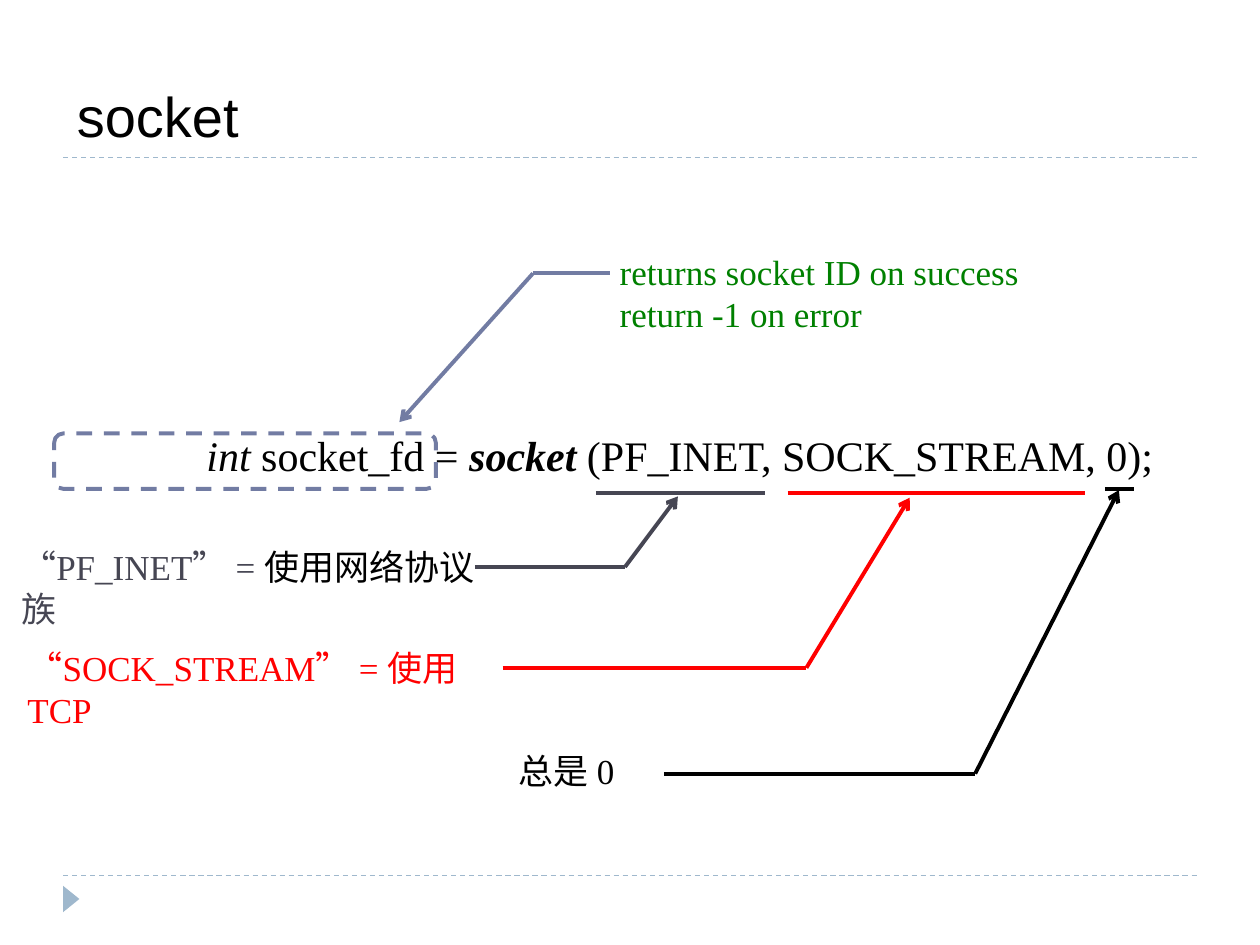
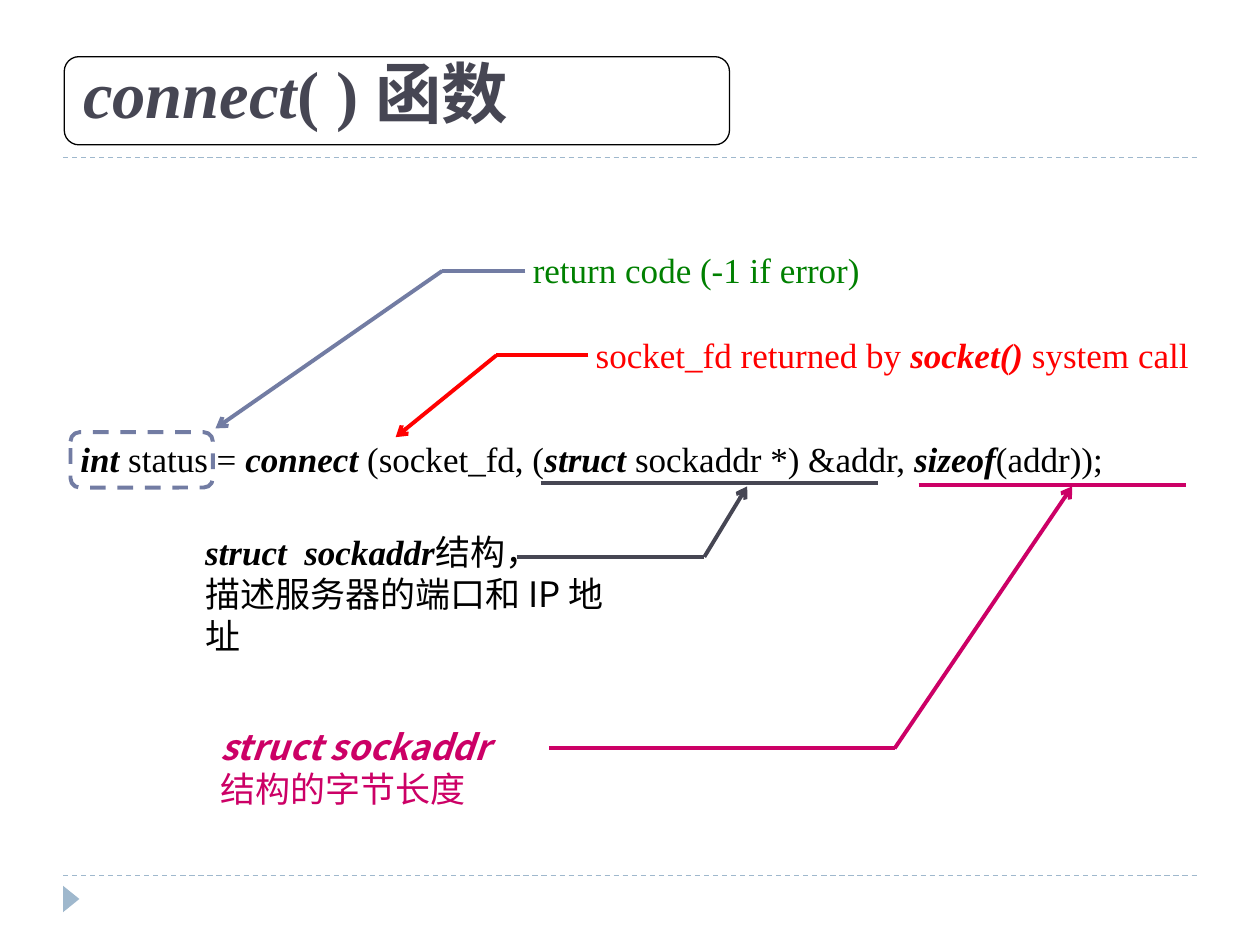
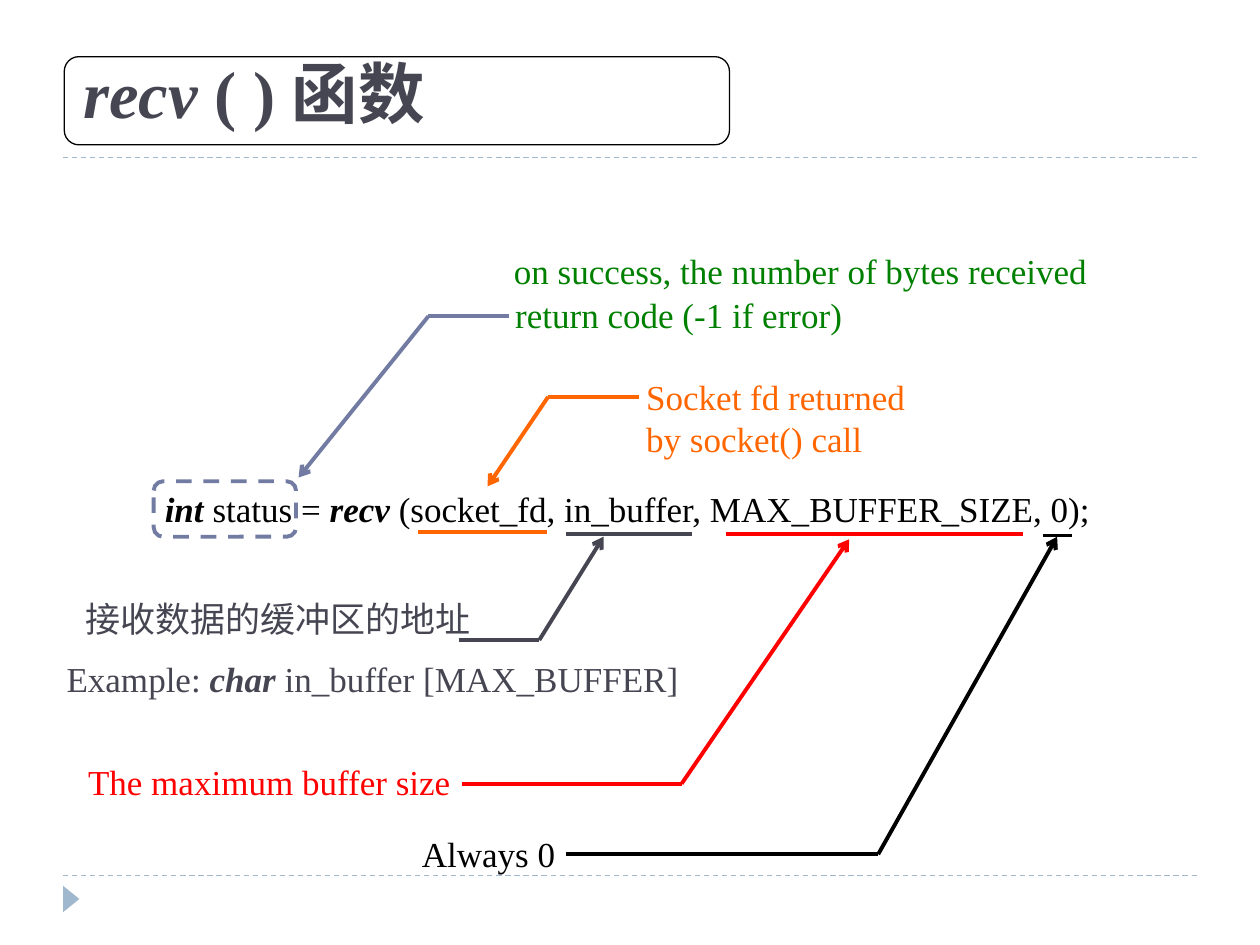
from dataclasses import dataclass

from lxml import etree
from pptx import Presentation
from pptx.dml.color import RGBColor
from pptx.enum.dml import MSO_LINE
from pptx.enum.shapes import MSO_CONNECTOR, MSO_SHAPE
from pptx.enum.text import MSO_ANCHOR, MSO_AUTO_SIZE, PP_ALIGN
from pptx.oxml.ns import qn
from pptx.util import Inches, Pt

STRAIGHT = MSO_CONNECTOR.STRAIGHT
ROUNDED = MSO_SHAPE.ROUNDED_RECTANGLE
TRIANGLE = MSO_SHAPE.ISOSCELES_TRIANGLE
DASH = MSO_LINE.DASH
TOP = MSO_ANCHOR.TOP
LEFT = PP_ALIGN.LEFT
FIXED = MSO_AUTO_SIZE.NONE

WHITE = RGBColor(0xFF, 0xFF, 0xFF)
BLACK = RGBColor(0x00, 0x00, 0x00)
SLATE = RGBColor(0x46, 0x46, 0x53)
PALE_BLUE = RGBColor(0x9F, 0xB8, 0xCD)
BLUE = RGBColor(0x72, 0x7C, 0xA3)
GREEN = RGBColor(0x00, 0x80, 0x00)
RED = RGBColor(0xFF, 0x00, 0x00)
ORANGE = RGBColor(0xFF, 0x66, 0x00)
MAGENTA = RGBColor(0xCC, 0x00, 0x66)

SERIF = "Times New Roman"
SANS = "Arial"
CHINESE = "Noto Sans CJK SC"
STRONG = {"bold": True, "italic": True}
LINE_HEIGHT = 1.2
RULE_WIDTH = 0.75
STROKE_WIDTH = 2.25
SLIDE_WIDTH = Inches(10)
SLIDE_HEIGHT = Inches(7.5)
TITLE_ONLY = 5


@dataclass
class Grid:
    """A region divided into equal columns and rows."""
    left: int
    top: int
    width: int
    height: int
    columns: float
    rows: float

    def point(self, column, row):
        """Return the slide position of a grid point."""
        return (int(self.left + self.width * column / self.columns),
                int(self.top + self.height * row / self.rows))

    def area(self, column, row, width, height):
        """Return the slide position and size of a grid area."""
        return (*self.point(column, row),
                int(self.width * width / self.columns),
                int(self.height * height / self.rows))


@dataclass
class Label:
    """Text lines with their place and look; a line is a list of runs."""
    area: tuple
    lines: list
    color: RGBColor = BLACK
    size: float = 20
    font: str = SERIF
    wrap: bool = False


@dataclass
class Callout:
    """A label, the corners of its pointer and the underlined argument."""
    label: Label
    corners: list
    underline: tuple = ()


def format_span(span, values):
    """Set the font of a run from a dict of format values."""
    color = values.pop("color")
    for name, value in values.items():
        setattr(span.font, name, value)
    span.font.color.rgb = color
    etree.SubElement(span.font._element, qn("a:ea"), typeface=CHINESE)


def write_label(frame, label):
    """Fill a text frame with the lines of a label."""
    settings = {"word_wrap": label.wrap, "auto_size": FIXED,
                "vertical_anchor": TOP,
                "margin_left": Inches(0.1), "margin_right": Inches(0.1),
                "margin_top": Inches(0.05), "margin_bottom": Inches(0.05)}
    for name, value in settings.items():
        setattr(frame, name, value)
    for index, line in enumerate(label.lines):
        para = frame.add_paragraph() if index else frame.paragraphs[0]
        para.alignment = LEFT
        para.line_spacing = Pt(label.size * LINE_HEIGHT)
        for text, changes in line:
            span = para.add_run()
            span.text = text
            format_span(span, {"name": label.font, "size": Pt(label.size),
                               "bold": False, "italic": False,
                               "color": label.color, **changes})


def add_label(page, grid, label):
    """Add a text box for a label."""
    box = page.shapes.add_textbox(*grid.area(*label.area))
    write_label(box.text_frame, label)


def add_stroke(page, grid, start, end, color, width=STROKE_WIDTH,
               dash=None, arrow=False):
    """Draw a straight line between two grid points."""
    stroke = page.shapes.add_connector(
        STRAIGHT, *grid.point(*start), *grid.point(*end))
    stroke.line.color.rgb = color
    stroke.line.width = Pt(width)
    if dash:
        stroke.line.dash_style = dash
    properties = stroke.element.spPr
    if arrow:
        etree.SubElement(properties.find(qn("a:ln")), qn("a:tailEnd"),
                         type="arrow")
    etree.SubElement(properties, qn("a:effectLst"))


def add_frame(page, grid, area, color, width, fill=None, dash=None):
    """Draw a rounded outline and return it."""
    frame = page.shapes.add_shape(ROUNDED, *grid.area(*area))
    frame.shadow.inherit = False
    if fill is None:
        frame.fill.background()
    else:
        frame.fill.solid()
        frame.fill.fore_color.rgb = fill
    frame.line.color.rgb = color
    frame.line.width = Pt(width)
    if dash:
        frame.line.dash_style = dash
    return frame


def add_furniture(page, grid):
    """Draw the two rules and the corner marker shared by all slides."""
    for row in (1.25, 6.95):
        add_stroke(page, grid, (0.5, row), (9.5, row), PALE_BLUE,
                   RULE_WIDTH, DASH)
    marker = page.shapes.add_shape(
        TRIANGLE, *grid.area(0.46, 7.07, 0.21, 0.13))
    marker.rotation = 90
    marker.shadow.inherit = False
    marker.fill.solid()
    marker.fill.fore_color.rgb = PALE_BLUE
    marker.line.fill.background()


def add_title(page, grid, label, framed):
    """Place the title placeholder, with a frame behind it if wanted."""
    title = page.shapes.title
    title.left, title.top, title.width, title.height = grid.area(*label.area)
    write_label(title.text_frame, label)
    if framed:
        frame = add_frame(page, grid, (0.51, 0.45, 5.28, 0.7), BLACK,
                          RULE_WIDTH, WHITE)
        title.element.addprevious(frame.element)


def add_callout(page, grid, callout, color):
    """Draw a label with its pointer and the underline it points at."""
    add_label(page, grid, callout.label)
    start, knee, tip = callout.corners
    add_stroke(page, grid, start, knee, color)
    add_stroke(page, grid, knee, tip, color, arrow=True)
    if callout.underline:
        left, right, row = callout.underline
        add_stroke(page, grid, (left, row), (right, row), color)


def add_call_slide(deck, title, framed, signature, result_area, result,
                   callouts, remarks=()):
    """Build a slide that explains one function call."""
    page = deck.slides.add_slide(deck.slide_layouts[TITLE_ONLY])
    grid = Grid(0, 0, SLIDE_WIDTH, SLIDE_HEIGHT, 10, 7.5)
    add_furniture(page, grid)
    add_title(page, grid, title, framed)
    for label in (signature, *remarks):
        add_label(page, grid, label)
    add_frame(page, grid, result_area, BLUE, STROKE_WIDTH, dash=DASH)
    add_callout(page, grid, result, BLUE)
    for callout in callouts:
        color = callout.label.color
        add_callout(page, grid, callout,
                    SLATE if callout.underline and color == BLACK
                    and callout.label.wrap else color)


def plain(*texts):
    """Return one line of plain text for each string."""
    return [[(text, {})] for text in texts]


def function_title(*runs):
    """Return the large title label of a function slide."""
    return Label((0.56, 0.36, 5.31, 0.74), [list(runs)], SLATE, 38, wrap=True)


def add_socket_slide(deck):
    """Explain the socket call."""
    add_call_slide(
        deck,
        Label((0.51, 0.6, 3.07, 0.64), plain("socket"), BLACK, 32, SANS, True),
        False,
        Label((1.54, 3.36, 7.74, 0.5), [[
            ("int ", {"italic": True}), ("socket_fd = ", {}),
            ("socket", STRONG), (" (PF_INET, SOCK_STREAM, 0);", {})]],
            size=24),
        (0.43, 3.44, 3.03, 0.44),
        Callout(Label((4.82, 1.94, 3.37, 0.77),
                      plain("returns socket ID on success",
                            "return -1 on error"), GREEN),
                [(4.84, 2.17), (4.23, 2.17), (3.17, 3.35)]),
        [Callout(Label((0.07, 4.28, 4.03, 0.77), [[
            ("“PF_INET” = ", {}), ("使用网络协议", {"color": BLACK}),
            ("族", {})]], SLATE, wrap=True),
            [(3.77, 4.5), (4.96, 4.5), (5.38, 3.94)], (4.73, 6.07, 3.91)),
         Callout(Label((0.12, 5.08, 3.9, 0.77),
                       plain("“SOCK_STREAM” = 使用 TCP"), RED, wrap=True),
                 [(3.99, 5.3), (6.4, 5.3), (7.22, 3.95)], (6.25, 8.61, 3.91)),
         Callout(Label((4.02, 5.9, 1.03, 0.44), plain("总是 0")),
                 [(5.27, 6.14), (7.74, 6.14), (8.88, 3.89)],
                 (8.77, 9, 3.88))])


def add_connect_slide(deck):
    """Explain the connect call."""
    add_call_slide(
        deck,
        function_title(("connect", STRONG), ("( ) 函数", {"bold": True})),
        True,
        Label((0.54, 3.42, 8.32, 0.44), [[
            ("int", STRONG), (" status = ", {}), ("connect", STRONG),
            (" (socket_fd, (", {}), ("struct", STRONG),
            (" sockaddr *) &addr, ", {}), ("sizeof", STRONG),
            ("(addr));", {})]]),
        (0.56, 3.43, 1.13, 0.44),
        Callout(Label((4.13, 1.92, 2.79, 0.44),
                      plain("return code (-1 if error)"), GREEN),
                [(4.17, 2.15), (3.51, 2.15), (1.71, 3.4)]),
        [Callout(Label((1.53, 4.16, 3.37, 1.1), [
            [("struct  sockaddr", STRONG), ("结构，", {})],
            [("描述服务器的端口和 IP 地址", {"name": CHINESE})]], wrap=True),
            [(4.1, 4.42), (5.59, 4.42), (5.93, 3.86)], (4.29, 6.97, 3.83)),
         Callout(Label((1.65, 5.71, 2.48, 0.77), [[
             ("struct sockaddr ", STRONG), ("结构的字节长度", {})]],
             MAGENTA, font=CHINESE, wrap=True),
             [(4.36, 5.94), (7.1, 5.94), (8.51, 3.86)], (7.29, 9.41, 3.85)),
         Callout(Label((4.63, 2.6, 4.9, 0.44), [[
             ("socket_fd returned by ", {}), ("socket()", STRONG),
             (" system call", {})]], RED),
             [(4.67, 2.82), (3.94, 2.82), (3.14, 3.47)])])


def add_recv_slide(deck):
    """Explain the recv call."""
    add_call_slide(
        deck,
        function_title(("recv", STRONG), (" ( ) 函数", {"bold": True})),
        True,
        Label((1.21, 3.82, 7.56, 0.44), [[
            ("int", STRONG), (" status = ", {}), ("recv", STRONG),
            (" (socket_fd, in_buffer, MAX_BUFFER_SIZE, 0);", {})]]),
        (1.22, 3.82, 1.13, 0.44),
        Callout(Label((3.99, 2.28, 2.79, 0.44),
                      plain("return code (-1 if error)"), GREEN),
                [(4.04, 2.51), (3.4, 2.51), (2.37, 3.79)]),
        [Callout(Label((3.25, 6.56, 1.26, 0.44), plain("Always 0")),
                 [(4.49, 6.78), (6.97, 6.78), (8.39, 4.26)],
                 (8.28, 8.51, 4.25)),
         Callout(Label((0.6, 5.99, 3.08, 0.44),
                       plain("The maximum buffer size"), RED),
                 [(3.67, 6.22), (5.41, 6.22), (6.74, 4.28)],
                 (5.76, 8.12, 4.24)),
         Callout(Label((0.58, 4.69, 3.26, 0.44),
                       plain("接收数据的缓冲区的地址"), SLATE),
                 [(3.64, 5.08), (4.28, 5.08), (4.79, 4.26)],
                 (4.49, 5.49, 4.24)),
         Callout(Label((5.03, 2.93, 2.25, 0.77),
                       plain("Socket fd returned", "by socket() call"),
                       ORANGE),
                 [(5.07, 3.15), (4.35, 3.15), (3.87, 3.86)],
                 (3.32, 4.34, 4.22))],
        [Label((3.98, 1.93, 4.75, 0.44),
               plain("on success, the number of bytes received"), GREEN),
         Label((0.43, 5.17, 5.06, 0.44), [[
             ("Example: ", {}), ("char", STRONG),
             (" in_buffer [MAX_BUFFER]", {})]], SLATE)])


def main():
    """Build and save the deck."""
    deck = Presentation()
    deck.slide_width = SLIDE_WIDTH
    deck.slide_height = SLIDE_HEIGHT
    for add_slide in (add_socket_slide, add_connect_slide, add_recv_slide):
        add_slide(deck)
    deck.save("out.pptx")


if __name__ == "__main__":
    main()
